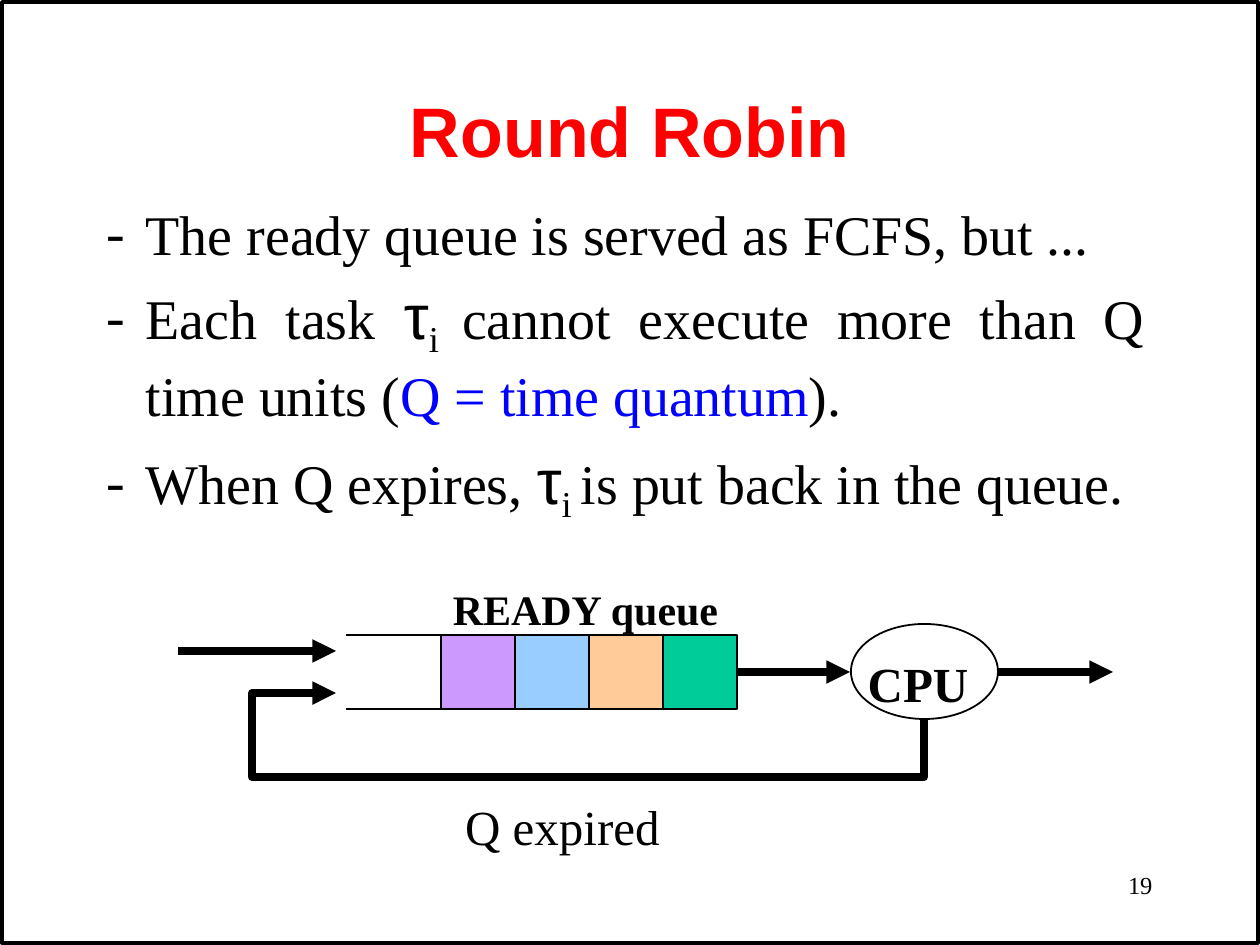
from dataclasses import dataclass

from lxml.etree import SubElement
from pptx import Presentation
from pptx.dml.color import RGBColor
from pptx.enum.shapes import MSO_CONNECTOR, MSO_SHAPE
from pptx.enum.text import PP_ALIGN
from pptx.oxml.ns import qn
from pptx.util import Emu, Pt


@dataclass(frozen=True)
class Theme:
    black: str = "000000"
    white: str = "FFFFFF"
    red: str = "FF0000"
    blue: str = "0000FF"
    tasks: tuple = ("CC99FF", "99CCFF", "FFCC99", "00CC99")
    sans: str = "Arial"
    serif: str = "Times New Roman"
    title_size: int = 20
    body_size: int = 16
    symbol_size: int = 18
    diagram_size: int = 14
    queue_size: int = 12
    number_size: int = 7
    thin: float = 0.5
    frame: float = 1
    thick: float = 2.25


def px(length):
    return Emu(round(length * 914400 / 252))


class SlideBuilder:
    def __init__(self, slide, theme):
        self.slide = slide
        self.theme = theme

    def text_frame(self, left, top, width, height):
        frame = self.slide.shapes.add_textbox(px(left), px(top), px(width), px(height)).text_frame
        frame.word_wrap = True
        frame.margin_left = frame.margin_top = frame.margin_right = frame.margin_bottom = 0
        return frame

    def style(self, font, size, color, name, bold=False):
        font.size = Pt(size)
        font.name = name
        font.bold = bold
        font.color.rgb = RGBColor.from_string(color)

    def label(self, text, left, top, width, size, bold=False, color=None, name=None, align=PP_ALIGN.LEFT):
        paragraph = self.text_frame(left, top, width, size * 4).paragraphs[0]
        paragraph.alignment = align
        self.style(paragraph.font, size, color or self.theme.black, name or self.theme.serif, bold)
        paragraph.add_run().text = text

    def bullets(self, left, top, width, height, items):
        frame = self.text_frame(left, top, width, height)
        for index, (space_before, line_spacing, runs) in enumerate(items):
            paragraph = frame.add_paragraph() if index else frame.paragraphs[0]
            paragraph.alignment = PP_ALIGN.JUSTIFY
            paragraph.space_before = Pt(space_before)
            if line_spacing:
                paragraph.line_spacing = Pt(line_spacing)
            properties = paragraph._p.get_or_add_pPr()
            properties.set("marL", str(px(53)))
            properties.set("indent", str(px(-39)))
            SubElement(properties, qn("a:buFont"), typeface=self.theme.serif)
            SubElement(properties, qn("a:buChar"), char="-")
            self.style(paragraph.font, self.theme.body_size, self.theme.black, self.theme.serif)
            for text, role in runs:
                self.body_run(paragraph, text, role)

    def body_run(self, paragraph, text, role):
        run = paragraph.add_run()
        run.text = text
        if role == "term":
            run.font.color.rgb = RGBColor.from_string(self.theme.blue)
        elif role == "symbol":
            run.font.size = Pt(self.theme.symbol_size)
            run.font.name = self.theme.sans
        elif role == "index":
            run.font.size = Pt(self.theme.symbol_size)
            run._r.get_or_add_rPr().set("baseline", "-21000")

    def stroke(self, line, width, arrow=False):
        line.width = Pt(width)
        line.color.rgb = RGBColor.from_string(self.theme.black)
        if arrow:
            SubElement(line._get_or_add_ln(), qn("a:tailEnd"), type="triangle")

    def outline(self, kind, left, top, width, height, fill=None, weight=None):
        shape = self.slide.shapes.add_shape(kind, px(left), px(top), px(width), px(height))
        shape.shadow.inherit = False
        if fill:
            shape.fill.solid()
            shape.fill.fore_color.rgb = RGBColor.from_string(fill)
        else:
            shape.fill.background()
        self.stroke(shape.line, weight or self.theme.thin)

    def line(self, left, right, y, width, arrow=False):
        connector = self.slide.shapes.add_connector(
            MSO_CONNECTOR.STRAIGHT, px(left), px(y), px(right), px(y)
        )
        self.stroke(connector.line, width, arrow)
        SubElement(connector._element.spPr, qn("a:effectLst"))

    def arrow_route(self, points):
        start, *others = [(px(x), px(y)) for x, y in points]
        builder = self.slide.shapes.build_freeform(*start)
        builder.add_line_segments(others, close=False)
        shape = builder.convert_to_shape()
        shape.shadow.inherit = False
        shape.fill.background()
        self.stroke(shape.line, self.theme.thick, arrow=True)


def main():
    presentation = Presentation()
    presentation.slide_width = px(1260)
    presentation.slide_height = px(945)
    theme = Theme()
    builder = SlideBuilder(presentation.slides.add_slide(presentation.slide_layouts[6]), theme)

    builder.outline(MSO_SHAPE.RECTANGLE, 2, 2, 1256, 941, weight=theme.frame)
    builder.label("Round Robin", 160, 88, 940, theme.title_size, True, theme.red, theme.sans, PP_ALIGN.CENTER)

    task = [("τ", "symbol"), ("i ", "index")]
    builder.bullets(93, 200, 1052, 330, [
        (0, None, [("The ready queue is served as FCFS, but ...", None)]),
        (7, 19.4, [("Each task ", None), *task, ("cannot execute more than Q time units (", None),
                   ("Q = time quantum", "term"), (").", None)]),
        (3.9, None, [("When Q expires, ", None), *task, ("is put back in the queue.", None)]),
    ])

    queue_left, queue_top, cell = 441, 635, 74
    for y in (queue_top, queue_top + cell):
        builder.line(346, queue_left, y, theme.thin)
    for index, color in enumerate(theme.tasks):
        builder.outline(MSO_SHAPE.RECTANGLE, queue_left + index * cell, queue_top, cell, cell, color)

    builder.arrow_route([(924, 718), (924, 777), (252, 777), (252, 693), (336, 693)])
    builder.outline(MSO_SHAPE.OVAL, 851, 624, 147, 95, theme.white)
    for left, right, y in ((178, 336, 651), (737, 850, 672), (998, 1113, 672)):
        builder.line(left, right, y, theme.thick, arrow=True)

    builder.label("READY queue", 453, 584, 300, theme.queue_size, True)
    builder.label("CPU", 851, 654, 134, theme.diagram_size, True, align=PP_ALIGN.CENTER)
    builder.label("Q expired", 465, 797, 240, theme.diagram_size)
    builder.label("19", 1128, 870, 40, theme.number_size)
    presentation.save("out.pptx")


if __name__ == "__main__":
    main()
